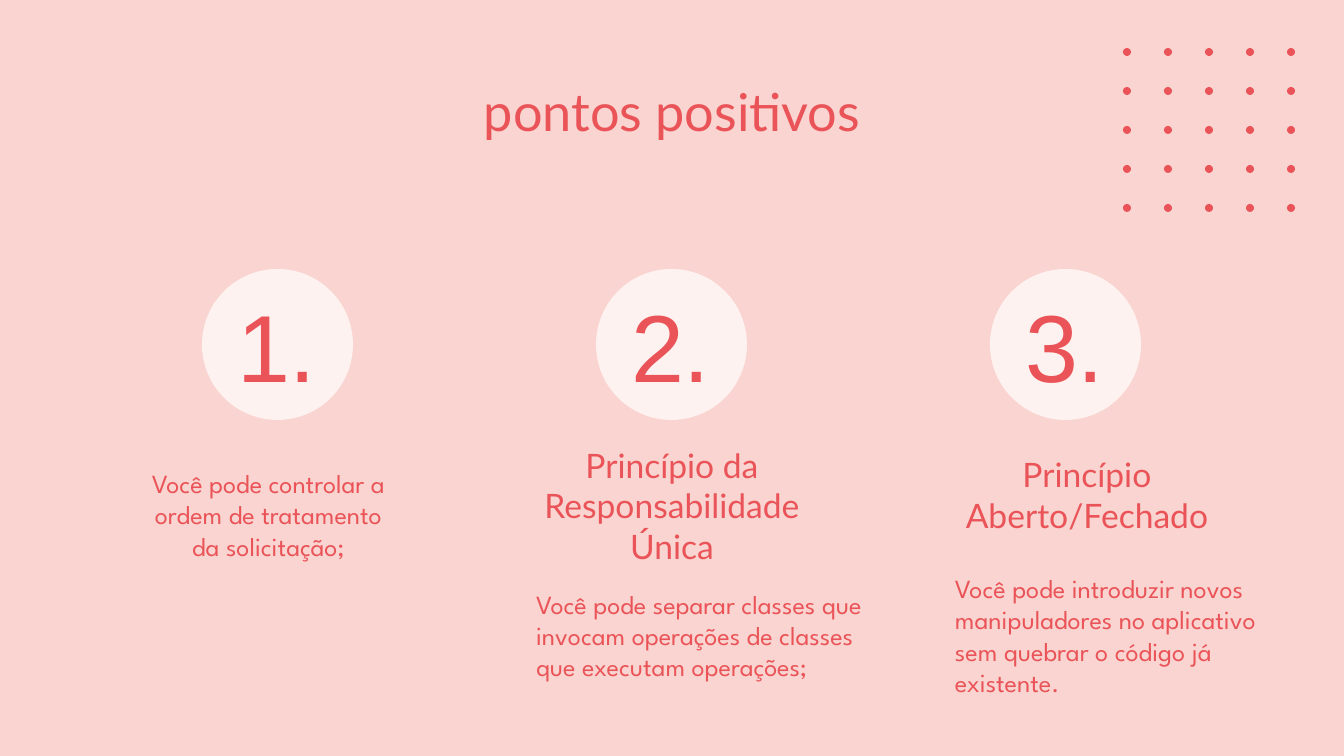
from dataclasses import dataclass

from pptx import Presentation
from pptx.dml.color import RGBColor
from pptx.enum.shapes import MSO_SHAPE
from pptx.enum.text import MSO_ANCHOR, MSO_AUTO_SIZE, PP_ALIGN
from pptx.oxml import parse_xml
from pptx.oxml.ns import nsdecls
from pptx.util import Pt

WIDTH, HEIGHT = 1344, 756
EMU_PER_PX = 9144000 / WIDTH


def px(n):
    return round(n * EMU_PER_PX)


@dataclass(frozen=True)
class Theme:
    background: RGBColor = RGBColor(0xF9, 0xD4, 0xD0)
    accent: RGBColor = RGBColor(0xEA, 0x54, 0x58)
    disc: RGBColor = RGBColor(0xFE, 0xF2, 0xF0)
    heading_font: str = "Lato"
    body_font: str = "League Spartan"
    number_font: str = "Arial"
    title_size: int = 28
    heading_size: int = 18
    body_size: int = 14
    number_size: int = 51
    inset: int = 13
    body_indent: int = 67


class Deck:
    """Holds the theme and the current slide."""

    def __init__(self, theme):
        self.theme = theme
        self.prs = Presentation()
        self.prs.slide_width, self.prs.slide_height = px(WIDTH), px(HEIGHT)
        self.slide = None

    def new_slide(self, layout_name):
        layout = self.prs.slide_layouts.get_by_name(layout_name)
        self.slide = self.prs.slides.add_slide(layout)
        fill = self.slide.background.fill
        fill.solid()
        fill.fore_color.rgb = self.theme.background

    def placeholder(self, idx, box):
        sp = self.slide.placeholders[idx]
        sp.left, sp.top, sp.width, sp.height = map(px, box)
        return sp

    def textbox(self, box):
        return self.slide.shapes.add_textbox(*map(px, box))

    def set_text(self, sp, text, font, size, align, anchor=MSO_ANCHOR.MIDDLE, indent=0):
        tf = sp.text_frame
        tf.text = text
        tf.word_wrap = True
        tf.auto_size = MSO_AUTO_SIZE.NONE
        tf.vertical_anchor = anchor
        inset = px(self.theme.inset)
        tf.margin_left = tf.margin_top = tf.margin_right = tf.margin_bottom = inset
        p = tf.paragraphs[0]
        p.alignment = align
        p.space_before = Pt(0)
        pPr = p._p.get_or_add_pPr()
        pPr.set("marL", str(px(indent)))
        pPr.set("indent", "0")
        pPr.append(parse_xml(f"<a:buNone {nsdecls('a')}/>"))
        r = p.runs[0]
        r.font.name, r.font.size, r.font.bold = font, Pt(size), False
        r.font.color.rgb = self.theme.accent

    def title(self, text, box):
        self.set_text(self.placeholder(0, box), text, self.theme.heading_font,
                      self.theme.title_size, PP_ALIGN.CENTER, MSO_ANCHOR.TOP)

    def heading(self, idx, text, box):
        self.set_text(self.placeholder(idx, box), text, self.theme.heading_font,
                      self.theme.heading_size, PP_ALIGN.CENTER)

    def body(self, sp, text, align=PP_ALIGN.LEFT):
        self.set_text(sp, text, self.theme.body_font, self.theme.body_size, align,
                      indent=self.theme.body_indent)

    def circle(self, left, top, size, color):
        sp = self.slide.shapes.add_shape(
            MSO_SHAPE.OVAL, px(left), px(top), px(size), px(size))
        sp.shadow.inherit = False
        sp.fill.solid()
        sp.fill.fore_color.rgb = color
        sp.line.fill.background()
        return sp

    def dot_grid(self, left, top, step_x, step_y, size=8, count=5):
        for col in range(count):
            for row in range(count):
                self.circle(left + col * step_x, top + row * step_y, size,
                            self.theme.accent)

    def number(self, text, left, top, size):
        sp = self.circle(left, top, size, self.theme.disc)
        self.set_text(sp, text, self.theme.number_font, self.theme.number_size,
                      PP_ALIGN.LEFT)


def main():
    deck = Deck(Theme())
    deck.new_slide("Comparison")
    deck.dot_grid(1123, 48, step_x=41, step_y=39)
    for i in range(3):
        deck.number(f"{i + 1}.", 202 + 394 * i, 269, 151)

    deck.title("pontos positivos", (106, 66, 1132, 85))
    deck.body(deck.textbox((63, 439, 344, 151)),
              "Você pode controlar a ordem de tratamento da solicitação;",
              PP_ALIGN.CENTER)
    deck.heading(1, "Princípio da Responsabilidade Única", (500, 410, 344, 191))
    deck.body(deck.placeholder(2, (456, 570, 433, 130)),
              "Você pode separar classes que invocam operações de classes "
              "que executam operações;")
    deck.heading(3, "Princípio Aberto/Fechado", (915, 410, 344, 169))
    deck.body(deck.placeholder(4, (875, 570, 425, 130)),
              "Você pode introduzir novos manipuladores no aplicativo "
              "sem quebrar o código já existente.")
    deck.prs.save("out.pptx")


if __name__ == "__main__":
    main()
